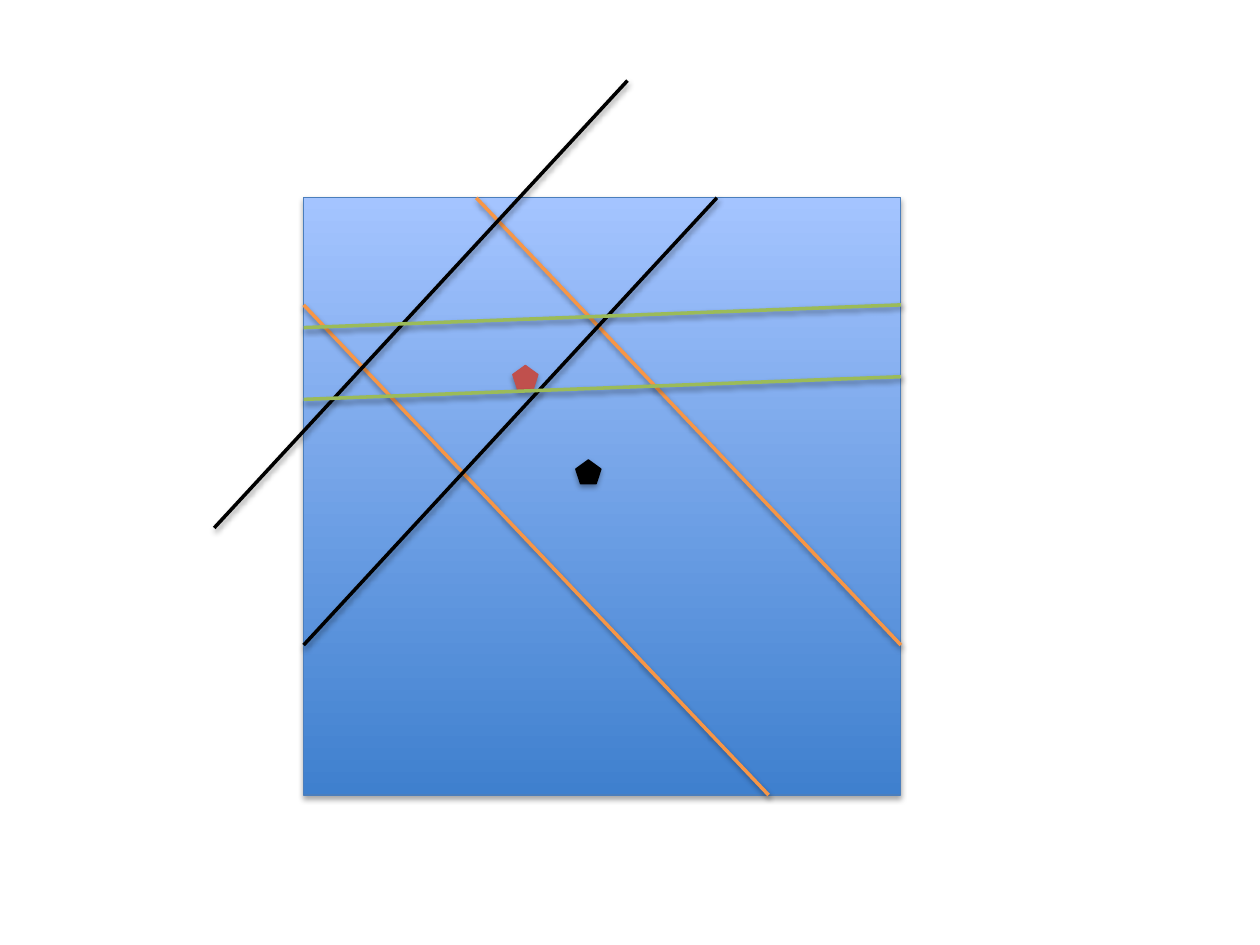
from dataclasses import dataclass

from lxml.etree import SubElement
from pptx import Presentation
from pptx.dml.color import RGBColor
from pptx.enum.shapes import MSO_CONNECTOR as Connector, MSO_SHAPE as Shape
from pptx.oxml.ns import qn
from pptx.util import Inches, Pt


@dataclass(frozen=True)
class Theme:
    """Colours, line widths in points and shadow settings."""
    square_bottom: str = "3F80CE"
    square_top: str = "A4C4FF"
    square_line: str = "4B7EBC"
    red: str = "C0504D"
    orange: str = "F79646"
    green: str = "9BBB59"
    black: str = "000000"
    outline: float = 0.75
    stroke: float = 2
    shadow_blur: float = 3.1
    shape_shadow: tuple = (35, 1.8)
    line_shadow: tuple = (38, 1.6)


THEME = Theme()


def rgb(color):
    """Turn a hex string into a colour."""
    return RGBColor.from_string(color)


def add_shadow(shape, opacity, distance):
    """Drop a soft black shadow straight below a shape or connector."""
    properties = shape._element.spPr
    effects = SubElement(properties, qn("a:effectLst"))
    shadow = SubElement(effects, qn("a:outerShdw"), {
        "blurRad": str(Pt(THEME.shadow_blur)), "dist": str(Pt(distance)),
        "dir": "5400000", "rotWithShape": "0"})
    color = SubElement(shadow, qn("a:srgbClr"), val=THEME.black)
    SubElement(color, qn("a:alpha"), val=str(opacity * 1000))


def style_line(line, color, width):
    """Set the colour and width of a line."""
    line.color.rgb = rgb(color)
    line.width = Pt(width)


def add_square(slide, left, top, side):
    """Draw the shaded square that holds the scene."""
    square = slide.shapes.add_shape(
        Shape.RECTANGLE, Inches(left), Inches(top), Inches(side), Inches(side))
    square.fill.gradient()
    square.fill.gradient_angle = 90
    colors = (THEME.square_bottom, THEME.square_top)
    for stop, color in zip(square.fill.gradient_stops, colors):
        stop.color.rgb = rgb(color)
    style_line(square.line, THEME.square_line, THEME.outline)
    add_shadow(square, *THEME.shape_shadow)


def add_marker(slide, left, top, color):
    """Draw a small pentagon marker."""
    marker = slide.shapes.add_shape(
        Shape.REGULAR_PENTAGON, Inches(left), Inches(top), Inches(0.2), Inches(0.19))
    marker.fill.solid()
    marker.fill.fore_color.rgb = rgb(color)
    style_line(marker.line, color, THEME.outline)
    add_shadow(marker, *THEME.shape_shadow)


def add_stroke(slide, start, end, color):
    """Draw a straight stroke between two points."""
    stroke = slide.shapes.add_connector(
        Connector.STRAIGHT, *(Inches(value) for value in (*start, *end)))
    style_line(stroke.line, color, THEME.stroke)
    add_shadow(stroke, *THEME.line_shadow)


def add_parallel_pair(slide, start, end, shift, color):
    """Draw a stroke and its parallel copy moved by the shift."""
    for step in (0, 1):
        dx, dy = shift[0] * step, shift[1] * step
        add_stroke(slide, (start[0] + dx, start[1] + dy),
                   (end[0] + dx, end[1] + dy), color)


def add_scene(slide, left, top, side):
    """Place the square, the markers and the three bands of strokes."""
    right, bottom = left + side, top + side
    low = top + 3.55
    add_square(slide, left, top, side)
    add_marker(slide, left + 1.66, top + 1.33, THEME.red)
    add_stroke(slide, (left + 1.37, top), (right, low), THEME.orange)
    add_stroke(slide, (left, top + 0.85), (left + 3.69, bottom), THEME.orange)
    add_marker(slide, left + 2.16, top + 2.08, THEME.black)
    add_parallel_pair(slide, (left, low), (left + 3.28, top),
                      (-0.71, -0.93), THEME.black)
    add_parallel_pair(slide, (left, top + 1.6), (right, top + 1.42),
                      (0, -0.57), THEME.green)


def main():
    """Build and save the slide."""
    presentation = Presentation()
    presentation.slide_width = Inches(10)
    presentation.slide_height = Inches(7.5)
    slide = presentation.slides.add_slide(presentation.slide_layouts[6])
    add_scene(slide, left=2.41, top=1.57, side=4.74)
    presentation.save("out.pptx")


if __name__ == "__main__":
    main()
